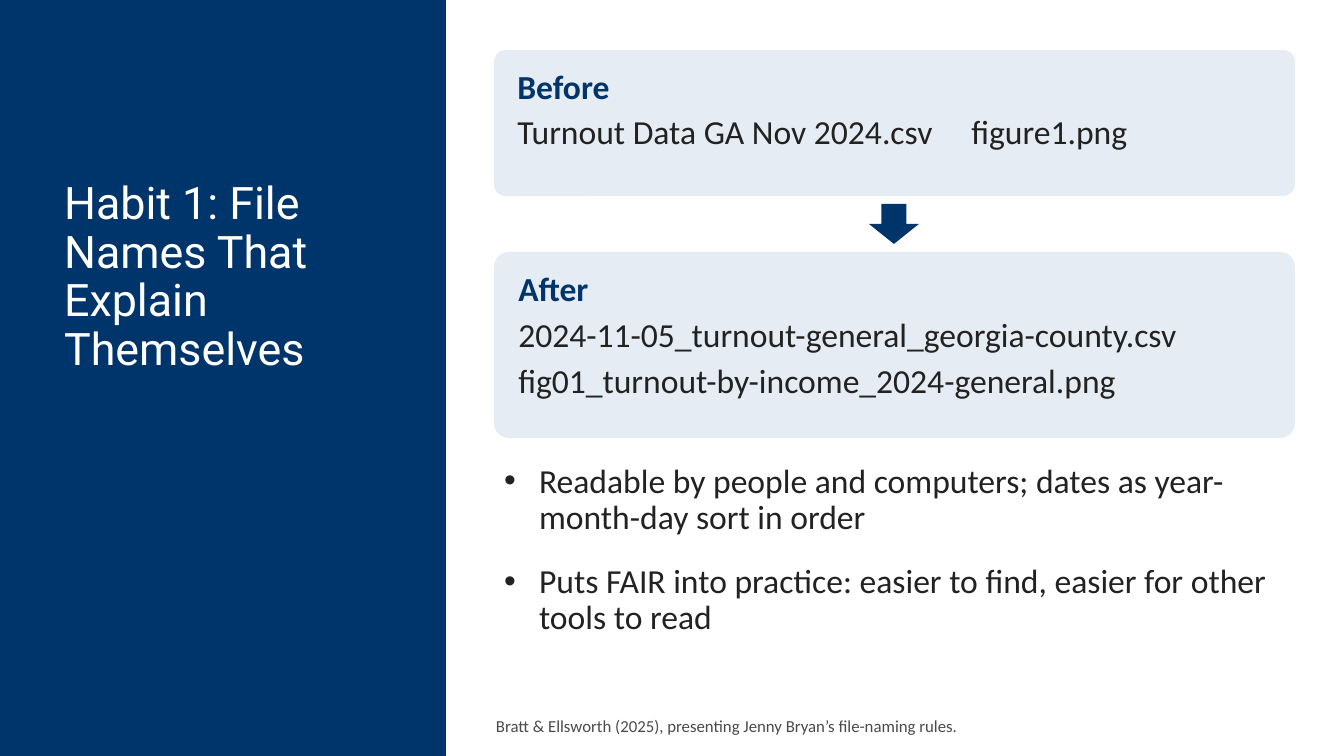
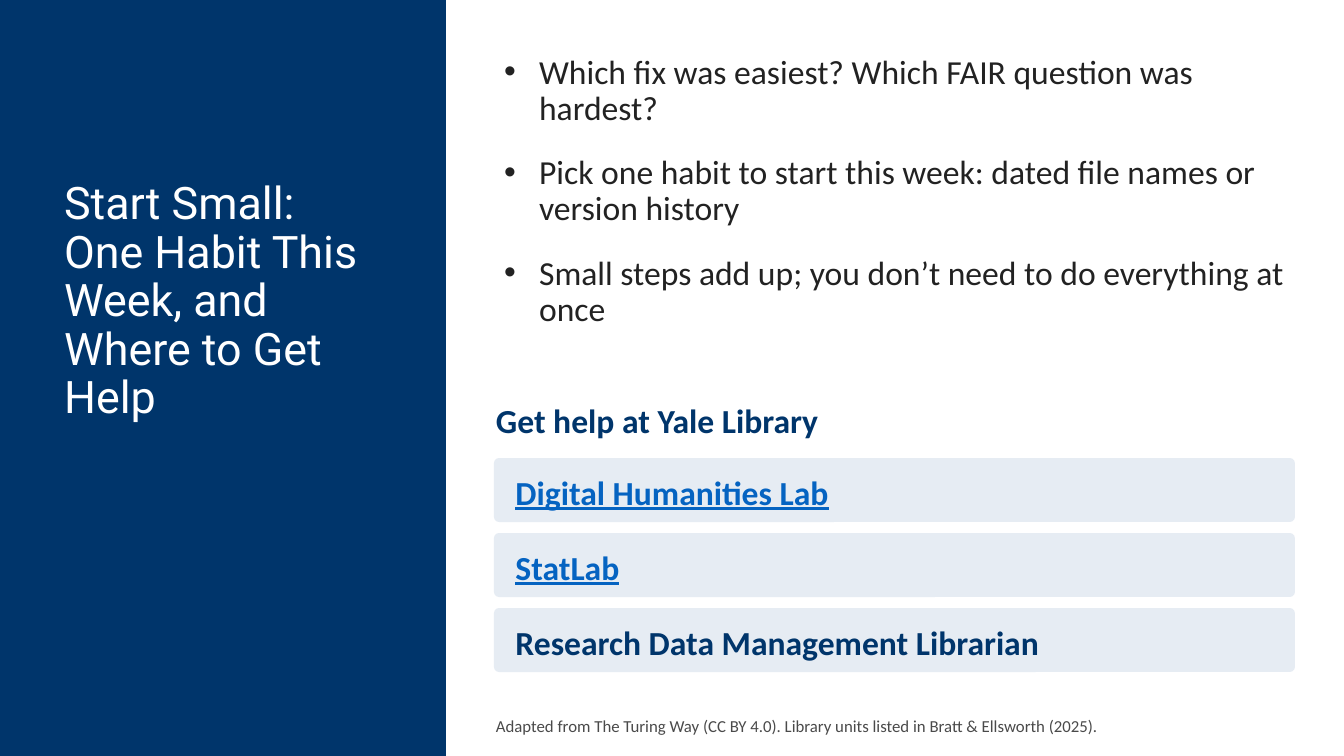
from lxml.etree import SubElement
from pptx import Presentation
from pptx.dml.color import RGBColor
from pptx.enum.shapes import MSO_SHAPE
from pptx.enum.text import MSO_ANCHOR, MSO_AUTO_SIZE, PP_ALIGN
from pptx.oxml.ns import qn
from pptx.util import Emu, Pt

EMU_PER_PX = 914400 / 100.8
SLIDE_WIDTH, SLIDE_HEIGHT = 1344, 756
LEFT, WIDTH = 494, 801
HELP_TOP, HELP_HEIGHT, HELP_GAP = 458, 64, 11

COLORS = {
    "navy": "00356B",
    "card": "E6ECF3",
    "text": "222222",
    "source": "4A4A4A",
    "link": "0563C1",
    "white": "FFFFFF",
}


def px(length):
    return Emu(round(length * EMU_PER_PX))


def rgb(name):
    return RGBColor.from_string(COLORS[name])


class Deck:
    """Holds the shared style and the slide being filled."""

    def __init__(self):
        self.presentation = Presentation()
        self.presentation.slide_width = px(SLIDE_WIDTH)
        self.presentation.slide_height = px(SLIDE_HEIGHT)
        self.layout = self.presentation.slide_layouts[1]
        self.slide = None

    def start_slide(self, title):
        first = self.slide is None
        self.slide = self.presentation.slides.add_slide(self.layout)
        if first:
            self.add_band_to_layout()
        heading = self.slide.shapes.title
        self.place(heading, 54, 176, 335, 213)
        self.set_lines(heading.text_frame, [title], size=32, color="white", font="Roboto")
        heading.text_frame.paragraphs[0].line_spacing = 0.9

    def add_band_to_layout(self):
        """Draw the side band once and move it behind everything on the layout."""
        band = self.shape(MSO_SHAPE.RECTANGLE, 0, 0, 446, SLIDE_HEIGHT, "navy")
        self.layout.shapes._spTree.insert(2, band._element)

    def place(self, holder, left, top, width, height):
        holder.left, holder.top = px(left), px(top)
        holder.width, holder.height = px(width), px(height)

    def shape(self, kind, left, top, width, height, fill):
        figure = self.slide.shapes.add_shape(
            kind, px(left), px(top), px(width), px(height))
        figure.shadow.inherit = False
        figure.fill.solid()
        figure.fill.fore_color.rgb = rgb(fill)
        figure.line.fill.background()
        return figure

    def set_lines(self, frame, lines, size=24, color="text", font="Calibri",
                  bold=False, anchor=MSO_ANCHOR.TOP, after=0):
        frame.text = "\n".join(lines)
        frame.word_wrap = True
        frame.auto_size = MSO_AUTO_SIZE.NONE
        frame.vertical_anchor = anchor
        for paragraph in frame.paragraphs:
            paragraph.alignment = PP_ALIGN.LEFT
            paragraph.space_before = Pt(0)
            paragraph.space_after = Pt(after)
            for run in paragraph.runs:
                self.style(run, size, color, font, bold)

    def style(self, run, size, color, font, bold):
        run.font.size = Pt(size)
        run.font.name = font
        run.font.bold = bold
        run.font.color.rgb = rgb(color)

    def set_insets(self, frame, across, down):
        frame.margin_left = frame.margin_right = px(across)
        frame.margin_top = frame.margin_bottom = px(down)

    def bullets(self, items, top, height):
        body = self.slide.placeholders[1]
        self.place(body, LEFT, top, WIDTH, height)
        self.set_lines(body.text_frame, items, after=10)
        for index, paragraph in enumerate(body.text_frame.paragraphs):
            paragraph.line_spacing = 0.9
            if index:
                paragraph.space_before = Pt(10)
            properties = paragraph._p.get_or_add_pPr()
            properties.set("marL", str(px(35)))
            properties.set("indent", str(-px(35)))
            SubElement(properties, qn("a:buFont"), typeface="Arial")
            SubElement(properties, qn("a:buChar"), char="•")

    def card(self, heading, top, height, details=(), link=False, tab=None):
        """Add a rounded card; tab is the distance to a second column."""
        box = self.shape(MSO_SHAPE.ROUNDED_RECTANGLE, LEFT, top, WIDTH, height, "card")
        box.adjustments[0] = 0.08
        frame = box.text_frame
        self.set_insets(frame, 20, 12)
        self.set_lines(frame, [heading, *details], after=4)
        heading_run = frame.paragraphs[0].runs[0]
        self.style(heading_run, 24, "link" if link else "navy", "Calibri", True)
        heading_run.font.underline = link
        if tab:
            for paragraph in frame.paragraphs[1:]:
                stops = SubElement(paragraph._p.get_or_add_pPr(), qn("a:tabLst"))
                SubElement(stops, qn("a:tab"), pos=str(px(tab)), algn="l")

    def down_arrow(self, top):
        width = 50
        left = LEFT + (WIDTH - width) // 2
        self.shape(MSO_SHAPE.DOWN_ARROW, left, top, width, 40, "navy")

    def label(self, text, top, height, **style):
        box = self.slide.shapes.add_textbox(px(LEFT), px(top), px(WIDTH), px(height))
        self.set_insets(box.text_frame, 2, 2)
        self.set_lines(box.text_frame, [text], **style)

    def source(self, text):
        self.label(text, 698, 40, size=12, color="source", anchor=MSO_ANCHOR.BOTTOM)


def add_file_names(deck):
    deck.start_slide("Habit 1: File Names That Explain Themselves")
    deck.bullets([
        "Readable by people and computers; dates as year-month-day sort in order",
        "Puts FAIR into practice: easier to find, easier for other tools to read",
    ], 459, 232)
    deck.card("Before", 50, 146, ["Turnout Data GA Nov 2024.csv\tfigure1.png"], tab=454)
    deck.down_arrow(204)
    deck.card("After", 252, 186, [
        "2024-11-05_turnout-general_georgia-county.csv",
        "fig01_turnout-by-income_2024-general.png",
    ])
    deck.source("Bratt & Ellsworth (2025), presenting Jenny Bryan’s file-naming rules.")


def add_start_small(deck):
    deck.start_slide("Start Small: One Habit This Week, and Where to Get Help")
    deck.bullets([
        "Which fix was easiest? Which FAIR question was hardest?",
        "Pick one habit to start this week: dated file names or version history",
        "Small steps add up; you don’t need to do everything at once",
    ], 50, 348)
    deck.label("Get help at Yale Library", 398, 50, color="navy", bold=True)
    help_units = [
        ("Digital Humanities Lab", True),
        ("StatLab", True),
        ("Research Data Management Librarian", False),
    ]
    for row, (unit, link) in enumerate(help_units):
        top = HELP_TOP + row * (HELP_HEIGHT + HELP_GAP)
        deck.card(unit, top, HELP_HEIGHT, link=link)
    deck.source("Adapted from The Turing Way (CC BY 4.0). "
                "Library units listed in Bratt & Ellsworth (2025).")


def main():
    deck = Deck()
    add_file_names(deck)
    add_start_small(deck)
    deck.presentation.save("out.pptx")


if __name__ == "__main__":
    main()
